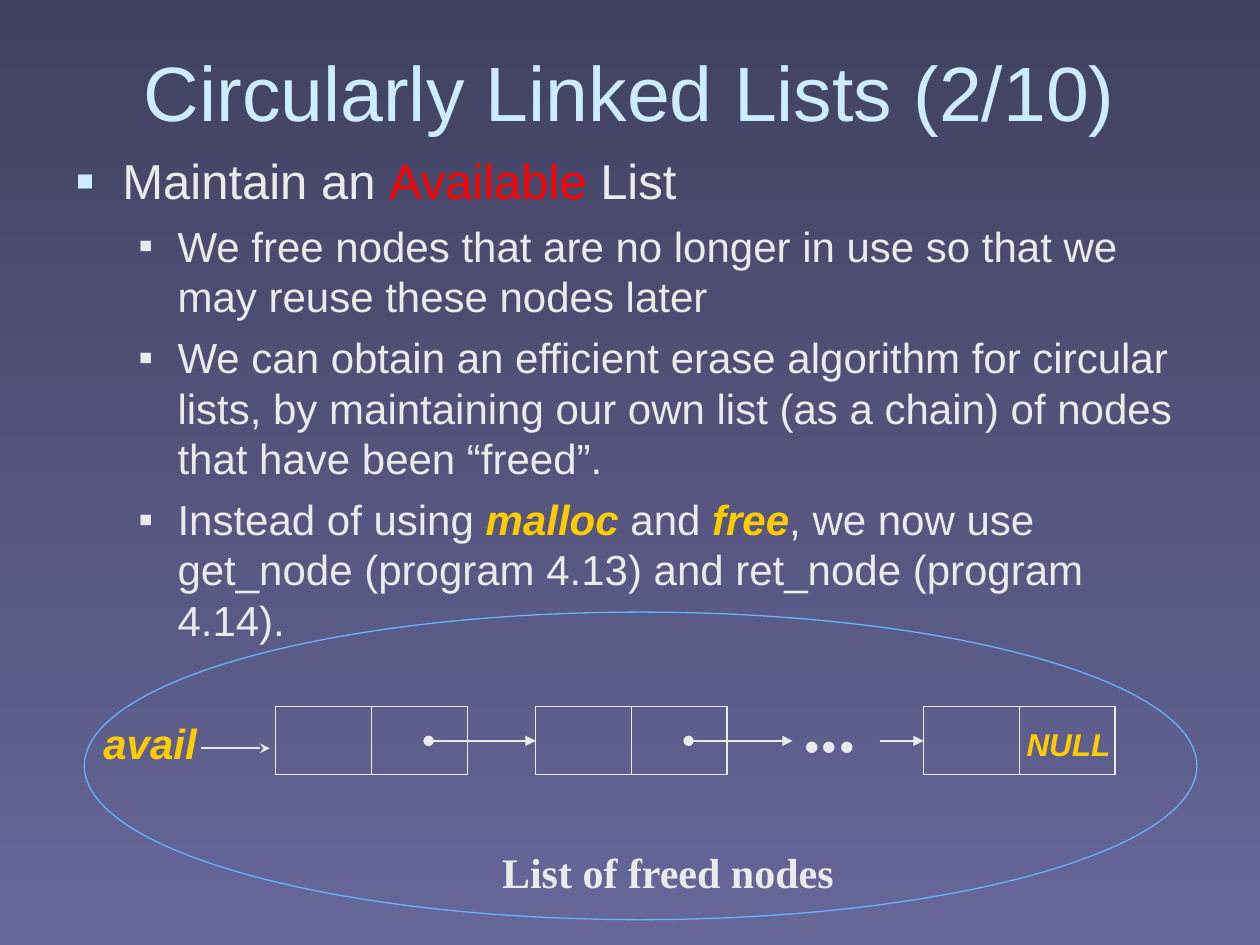
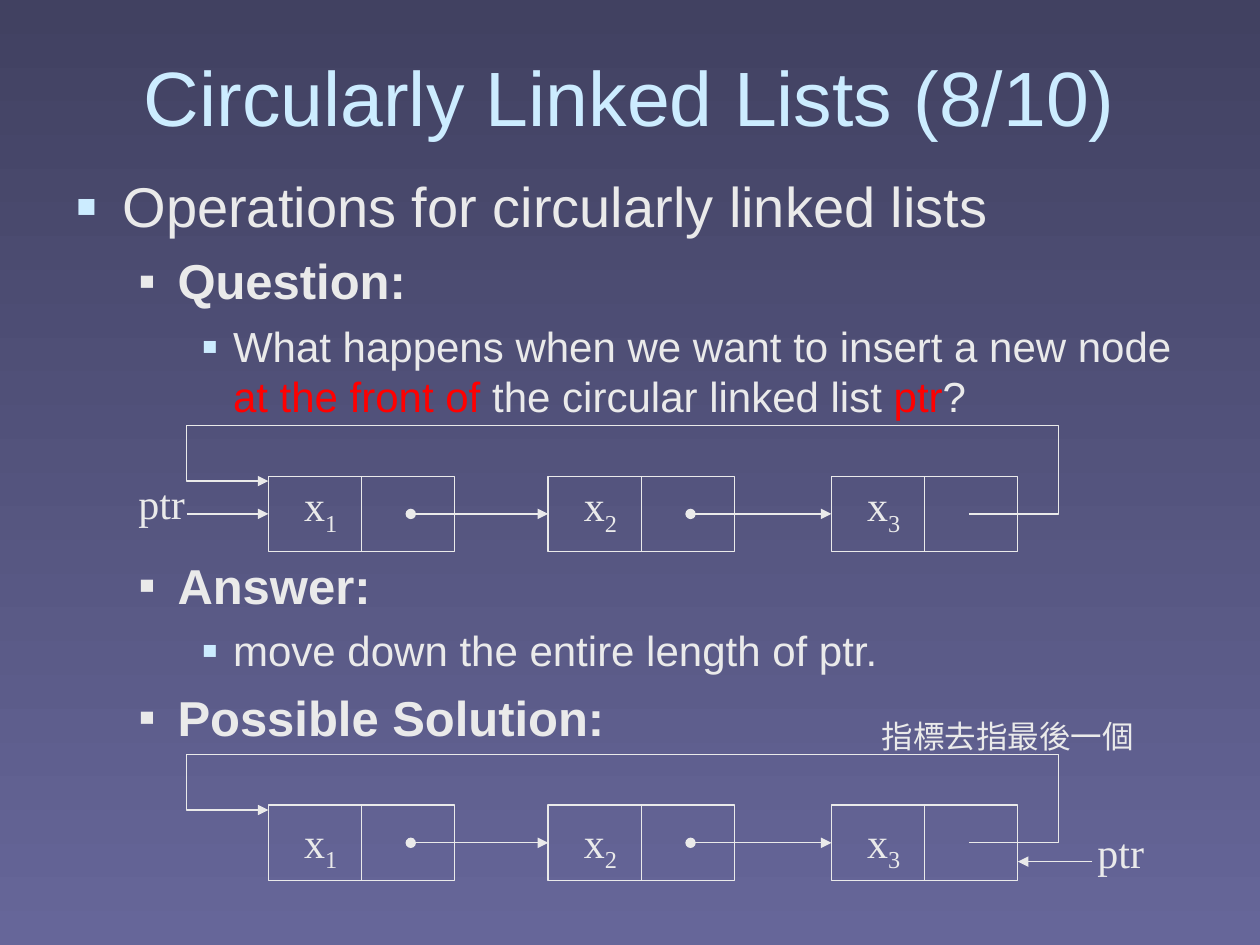
import pptx
import pptx.dml.color
import pptx.enum.shapes
import pptx.enum.text
import pptx.oxml
import pptx.oxml.ns
import pptx.util
from pptx.util import Cm

RGBColor = pptx.dml.color.RGBColor
Align = pptx.enum.text.PP_ALIGN
AutoSize = pptx.enum.text.MSO_AUTO_SIZE
Shape = pptx.enum.shapes.MSO_SHAPE

NIGHT = RGBColor(0x41, 0x41, 0x61)
DUSK = RGBColor(0x66, 0x66, 0x99)
ICE = RGBColor(0xCC, 0xEC, 0xFF)
CHALK = RGBColor(0xEA, 0xEA, 0xEA)
SKY = RGBColor(0x65, 0xB2, 0xFF)
GOLD = RGBColor(0xFF, 0xCC, 0x00)
RED = RGBColor(0xFF, 0x00, 0x00)

SANS = "Arial"
SERIF = "Times New Roman"
KEYWORD = dict(color=GOLD, bold=True, italic=True)
ALERT = dict(color=RED)

LEVELS = [(0.95, 0.95, ICE, 115), (2.06, 0.79, CHALK, 100), (3.18, 0.64, ICE, 115)]


def add_span(para, text, size=24, font=SANS, color=CHALK, bold=False, italic=False, baseline=0):
    span = para.add_run()
    span.text = text
    span.font.size = pptx.util.Pt(size)
    span.font.name = font
    span.font.color.rgb = color
    span.font.bold = bold
    span.font.italic = italic
    if baseline:
        span.font._element.set("baseline", str(baseline * 1000))


def add_element(parent, tag, **attributes):
    child = parent.makeelement(pptx.oxml.ns.qn(tag), attributes)
    parent.append(child)
    return child


class SlideBuilder:
    def __init__(self, deck):
        self.deck = deck
        self.canvas = None

    def start_page(self, title, title_height):
        self.page = self.deck.slides.add_slide(self.deck.slide_layouts[6])
        self.canvas = self.page.shapes
        fill = self.page.background.fill
        fill.gradient()
        fill.gradient_angle = 270
        for stop, color in zip(fill.gradient_stops, (NIGHT, DUSK)):
            stop.color.rgb = color
        self.label([(title, dict(size=44, color=ICE))], 1.27, 0.33, 22.86, title_height,
                   wrap=True, anchor=pptx.enum.text.MSO_ANCHOR.MIDDLE)

    def start_group(self):
        self.canvas = self.page.shapes.add_group_shape().shapes

    def end_group(self):
        self.canvas = self.page.shapes

    def label(self, spans, left, top, width, height, align=Align.CENTER, wrap=False, anchor=None):
        box = self.canvas.add_textbox(Cm(left), Cm(top), Cm(width), Cm(height))
        frame = box.text_frame
        frame.auto_size = AutoSize.NONE if wrap else AutoSize.SHAPE_TO_FIT_TEXT
        frame.word_wrap = wrap
        frame.vertical_anchor = anchor
        para = frame.paragraphs[0]
        para.alignment = align
        for text, style in spans:
            add_span(para, text, **style)

    def outline(self, top, height, items):
        box = self.canvas.add_textbox(Cm(1.27), Cm(top), Cm(22.86), Cm(height))
        frame = box.text_frame
        frame.word_wrap = True
        for index, (level, size, space, spans) in enumerate(items):
            para = frame.add_paragraph() if index else frame.paragraphs[0]
            margin, hanging, color, percent = LEVELS[level]
            properties = para._p.get_or_add_pPr()
            properties.set("marL", str(Cm(margin)))
            properties.set("indent", str(-Cm(hanging)))
            bullet_color = add_element(properties, "a:buClr")
            add_element(bullet_color, "a:srgbClr", val=str(color))
            add_element(properties, "a:buSzPct", val=str(percent * 1000))
            add_element(properties, "a:buFont", typeface=SANS)
            add_element(properties, "a:buChar", char="▪")
            para.level = level
            para.line_spacing = pptx.util.Pt(size * 1.2)
            para.space_before = pptx.util.Pt(space)
            for text, style in spans:
                add_span(para, text, size=size, **style)

    def stroke(self, item, color=CHALK, weight=0.75, head=None, tail=None):
        item.line.color.rgb = color
        item.line.width = pptx.util.Pt(weight)
        for tag, kind in (("a:headEnd", head), ("a:tailEnd", tail)):
            if kind:
                add_element(item.line._get_or_add_ln(), tag, type=kind)

    def outlined_shape(self, kind, left, top, width, height, color=CHALK):
        shape = self.canvas.add_shape(kind, Cm(left), Cm(top), Cm(width), Cm(height))
        shape.shadow.inherit = False
        shape.fill.background()
        self.stroke(shape, color)
        return shape

    def line(self, x1, y1, x2, y2, begin=None, end=None, **stroke):
        connector = self.canvas.add_connector(
            pptx.enum.shapes.MSO_CONNECTOR.STRAIGHT, Cm(x1), Cm(y1), Cm(x2), Cm(y2))
        if begin:
            connector.begin_connect(*begin)
        if end:
            connector.end_connect(*end)
        self.stroke(connector, **stroke)
        add_element(connector._element.spPr, "a:effectLst")

    def node(self, left, top, width, height):
        box = self.outlined_shape(Shape.RECTANGLE, left, top, width, height)
        middle = left + width / 2
        self.line(middle, top, middle, top + height, begin=(box, 0), end=(box, 2))
        return box

    def path_arrow(self, points):
        start, *rest = [(Cm(x), Cm(y)) for x, y in points]
        builder = self.canvas.build_freeform(*start)
        builder.add_line_segments(rest, close=False)
        shape = builder.convert_to_shape()
        shape.shadow.inherit = False
        shape.fill.background()
        self.stroke(shape, tail="triangle")

    def circular_list(self, top, name_offset):
        width, height = 3.76, 1.52
        middle = top + height / 2
        lefts = (5.41, 11.05, 16.76)
        nodes = [self.node(left, top, width, height) for left in lefts]
        for left, target_left, target in zip(lefts, lefts[1:], nodes[1:]):
            self.line(left + 2.87, middle, target_left, middle, end=(target, 1),
                      head="oval", tail="triangle")
        self.path_arrow([(19.53, middle), (21.34, middle), (21.34, top - 1.02),
                         (3.76, top - 1.02), (3.76, top + 0.1), (5.41, top + 0.1)])
        for number, left in enumerate(lefts, 1):
            self.label([("x", dict(font=SERIF)), (str(number), dict(font=SERIF, baseline=-25))],
                       left + 0.47, top + name_offset, 1.17, 1.42)
        return nodes


def build_available_list(builder):
    builder.start_page("Circularly Linked Lists (2/10)", 3)
    builder.outline(2.92, 10.21, [
        (0, 28, 0, [("Maintain an ", {}), ("Available", ALERT), (" List", {})]),
        (1, 24, 6, [("We free nodes that are no longer in use so that we may reuse "
                     "these nodes later", {})]),
        (1, 24, 6, [("We can obtain an efficient erase algorithm for circular lists, by "
                     "maintaining our own list (as a chain) of nodes that have been “freed”.", {})]),
        (1, 24, 6, [("Instead of using ", {}), ("malloc ", KEYWORD), ("and ", {}),
                    ("free", KEYWORD),
                    (", we now use get_node (program 4.13) and ret_node (program 4.14).", {})]),
    ])
    top, width, height = 14.25, 3.86, 1.37
    middle = top + height / 2
    first, second, last = 5.56, 10.8, 18.62
    nodes = [builder.node(left, top, width, height) for left in (first, second, last)]
    pointer = dict(weight=1, tail="triangle")
    builder.line(first + 3.08, middle, second, middle, end=(nodes[1], 1), head="oval", **pointer)
    builder.line(second + 3.08, middle, 15.98, middle, head="oval", **pointer)
    builder.line(17.73, middle, last, middle, end=(nodes[2], 1), **pointer)
    builder.line(4.06, middle + 0.15, 5.44, middle + 0.15, weight=1, tail="stealth")
    builder.label([("avail", KEYWORD)], 1.83, 14.33, 2.39, 1.27)
    builder.label([("...", dict(size=40, font=SERIF, bold=True))], 15.47, 13.64, 2.5, 1.96)
    builder.label([("NULL", dict(size=18, **KEYWORD))], 20.04, 14.5, 3, 1.02)
    builder.outlined_shape(Shape.OVAL, 1.7, 12.34, 22.43, 6.2, SKY)
    builder.label([("List of freed nodes", dict(font=SERIF, bold=True))], 9.86, 16.94, 7.21, 1.27)


def build_front_insertion(builder):
    builder.start_page("Circularly Linked Lists (8/10)", 3.18)
    strong = dict(bold=True)
    builder.outline(3.33, 12.5, [
        (0, 32, 0, [("Operations for circularly linked lists", {})]),
        (1, 28, 7, [("Question:", strong)]),
        (2, 24, 6, [("What happens when we want to insert a new node ", {}),
                    ("at the front of ", ALERT), ("the circular linked list ", {}),
                    ("ptr", ALERT), ("?", {})]),
        (1, 28, 77, [("Answer:", strong)]),
        (2, 24, 6, [("move down the entire length of ptr.", {})]),
        (1, 28, 7, [("Possible Solution:", strong)]),
    ])
    name = [("ptr", dict(font=SERIF))]

    builder.start_group()
    nodes = builder.circular_list(9.6, -0.05)
    builder.label(name, 2.54, 9.5, 1.45, 1.27, align=Align.LEFT)
    builder.line(3.76, 10.36, 5.41, 10.36, end=(nodes[0], 1), tail="triangle")

    builder.start_group()
    builder.circular_list(16.23, 0.1)
    builder.line(22.02, 17.37, 20.52, 17.37, tail="triangle")
    builder.label(name, 21.87, 16.54, 1.45, 1.27)
    builder.end_group()

    builder.label([("指標去指最後一個", dict(size=18))], 17.53, 14.33, 5.59, 1.02, align=Align.LEFT)


def main():
    deck = pptx.Presentation()
    deck.slide_width, deck.slide_height = Cm(25.4), Cm(19.05)
    builder = SlideBuilder(deck)
    build_available_list(builder)
    build_front_insertion(builder)
    deck.save("out.pptx")


if __name__ == "__main__":
    main()
